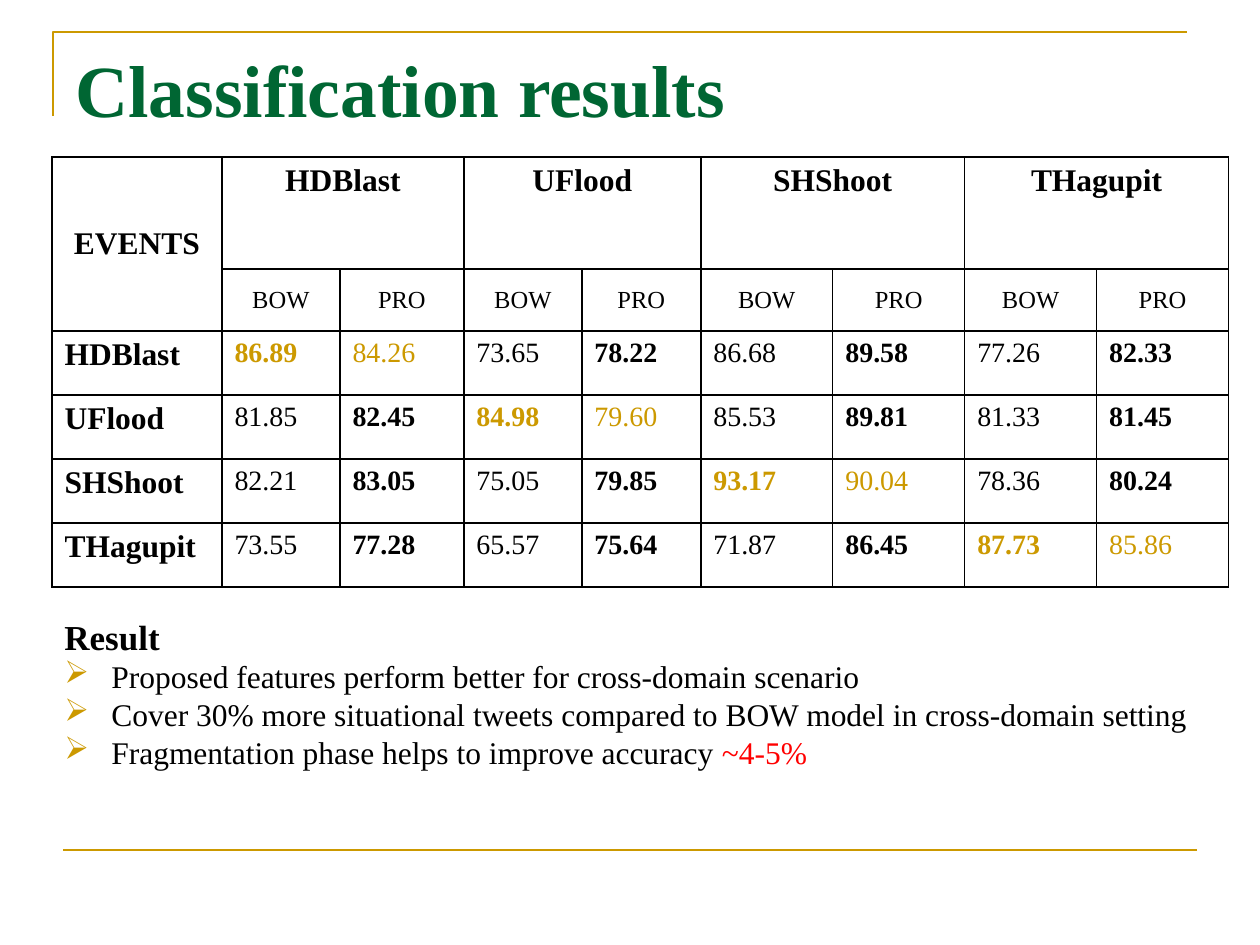
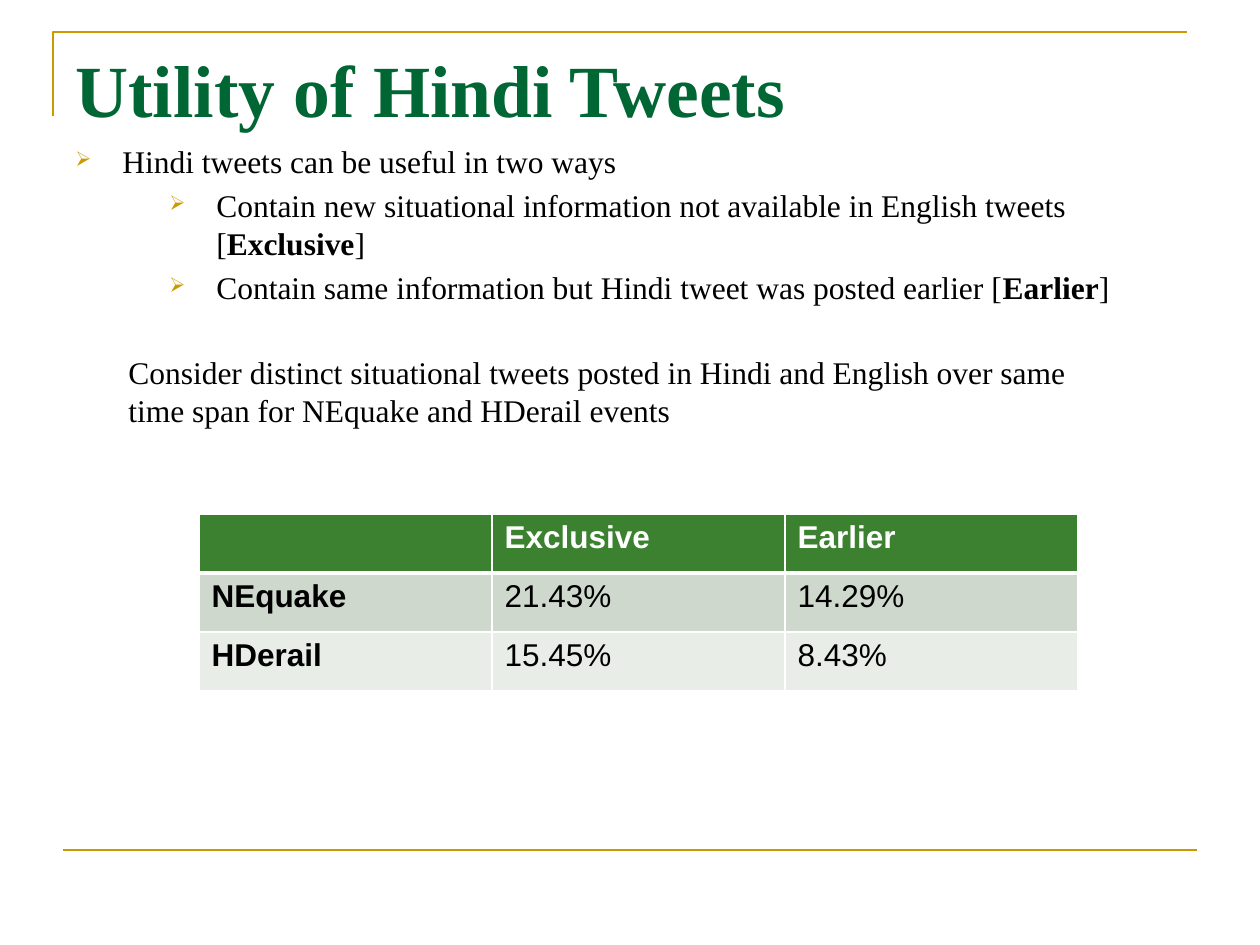
"""Builds two slides on tweet classification results and the utility of Hindi tweets."""
from dataclasses import dataclass

from lxml.etree import SubElement
from pptx import Presentation
from pptx.dml.color import RGBColor
from pptx.enum.shapes import MSO_CONNECTOR
from pptx.enum.text import MSO_ANCHOR, PP_ALIGN
from pptx.oxml.ns import qn
from pptx.util import Emu, Pt


@dataclass(frozen=True)
class Theme:
    gold: str = "CC9900"
    green: str = "006633"
    black: str = "000000"
    white: str = "FFFFFF"
    red: str = "FF0000"
    header: str = "3B812F"
    bands: tuple = ("CED8CD", "E8EDE8")
    serif: str = "Times New Roman"
    sans: str = "Arial"
    title: int = 42
    heading: int = 20
    body: int = 18
    score: int = 16
    feature: int = 14
    rule: float = 1.5


THEME = Theme()
EMU_PER_PX = 914400 / 126


def px(length):
    return Emu(round(length * EMU_PER_PX))


def write(paragraph, text, size=THEME.body, color=THEME.black, **formats):
    run = paragraph.add_run()
    run.text = text
    run.font.color.rgb = RGBColor.from_string(color)
    for name, value in {"name": THEME.serif, "size": Pt(size), "bold": False, **formats}.items():
        setattr(run.font, name, value)


deck = Presentation()
deck.slide_width, deck.slide_height = px(1260), px(945)
results, utility = [deck.slides.add_slide(deck.slide_layouts[6]) for _ in range(2)]

for slide in (results, utility):
    outline = slide.shapes.build_freeform(px(53), px(116), scale=1.0)
    outline.add_line_segments([(px(53), px(32)), (px(1187), px(32))], close=False)
    corner = outline.convert_to_shape()
    corner.fill.background()
    corner.shadow.inherit = False
    footer_rule = slide.shapes.add_connector(MSO_CONNECTOR.STRAIGHT, px(63), px(850), px(1197), px(850))
    SubElement(footer_rule._element.spPr, qn("a:effectLst"))
    for stroke in (corner.line, footer_rule.line):
        stroke.color.rgb = RGBColor.from_string(THEME.gold)
        stroke.width = Pt(THEME.rule)

title_format = {"size": THEME.title, "color": THEME.green, "bold": True}
strong = {"bold": True}
texts = [
    (results, (63, 38, 1134, 98), 0, 100, [(0, [("Classification results", title_format)])]),
    (utility, (63, 38, 1134, 98), 0, 100, [(0, [("Utility of Hindi Tweets", title_format)])]),
    (results, (52, 609, 1177, 170), 0, 100, [
        (0, [("Result", {"size": THEME.heading, "bold": True})]),
        (47, [("Proposed features perform better for cross-domain scenario", {})]),
        (47, [("Cover 30% more situational tweets compared to BOW model in cross-domain setting", {})]),
        (47, [("Fragmentation phase helps to improve accuracy ", {}), ("~4-5%", {"color": THEME.red})]),
    ]),
    (utility, (63, 136, 1134, 220), 3.6, 65, [
        (47, [("Hindi tweets can be useful in two ways", {})]),
        (141, [("Contain new situational information not available in English tweets [", {}),
               ("Exclusive", strong), ("]", {})]),
        (141, [("Contain same information but Hindi tweet was posted earlier [", {}),
               ("Earlier", strong), ("]", {})]),
    ]),
    (utility, (116, 347, 1018, 89), 0, 100, [
        (0, [("Consider distinct situational tweets posted in Hindi and English over same "
              "time span for NEquake and HDerail events", {})]),
    ]),
]
for slide, place, gap, bullet_percent, paragraphs in texts:
    frame = slide.shapes.add_textbox(*map(px, place)).text_frame
    frame.word_wrap = True
    for index, (indent, runs) in enumerate(paragraphs):
        paragraph = frame.add_paragraph() if index else frame.paragraphs[0]
        if index and gap:
            paragraph.space_before = Pt(gap)
        if indent:
            paragraph.level = int(indent > 47)
            properties = paragraph._p.get_or_add_pPr()
            properties.set("marL", str(px(indent)))
            properties.set("indent", str(px(-47)))
            SubElement(SubElement(properties, qn("a:buClr")), qn("a:srgbClr"), val=THEME.gold)
            SubElement(properties, qn("a:buSzPct"), val=str(bullet_percent * 1000))
            SubElement(properties, qn("a:buChar"), char="➢")
        for text, formats in runs:
            write(paragraph, text, **formats)

scores = {
    "HDBlast": ["86.89", "84.26", "73.65", "78.22", "86.68", "89.58", "77.26", "82.33"],
    "UFlood": ["81.85", "82.45", "84.98", "79.60", "85.53", "89.81", "81.33", "81.45"],
    "SHShoot": ["82.21", "83.05", "75.05", "79.85", "93.17", "90.04", "78.36", "80.24"],
    "THagupit": ["73.55", "77.28", "65.57", "75.64", "71.87", "86.45", "87.73", "85.86"],
}
shares = [["", "Exclusive", "Earlier"], ["NEquake", "21.43%", "14.29%"], ["HDerail", "15.45%", "8.43%"]]
grids = []
for slide, left, top, widths, heights in (
    (results, 52, 157, [170, 118, 124, 118, 119, 132, 132, 132, 132], [112, 62] + [64] * 4),
    (utility, 199, 514, [293] * 3, [59] * 3),
):
    place = map(px, (left, top, sum(widths), sum(heights)))
    grid = slide.shapes.add_table(len(heights), len(widths), *place).table
    grid.horz_banding = False
    grid.first_row = slide is utility
    for column, width in zip(grid.columns, widths):
        column.width = px(width)
    for row, height in zip(grid.rows, heights):
        row.height = px(height)
    grids.append(grid)
score_grid, share_grid = grids

for grid, border in ((score_grid, THEME.black), (share_grid, THEME.white)):
    for row_index, row in enumerate(grid.rows):
        for cell in row.cells:
            properties = cell._tc.get_or_add_tcPr()
            for side in ("lnL", "lnR", "lnT", "lnB"):
                thick = grid is share_grid and (row_index, side) in ((0, "lnB"), (1, "lnT"))
                edge = SubElement(properties, qn(f"a:{side}"), w=str(Pt(3 if thick else 1)))
                SubElement(SubElement(edge, qn("a:solidFill")), qn("a:srgbClr"), val=border)
            if grid is score_grid:
                cell.fill.background()
            else:
                cell.fill.solid()
                cell.fill.fore_color.rgb = RGBColor.from_string((THEME.header, *THEME.bands)[row_index])

score_grid.cell(0, 0).merge(score_grid.cell(1, 0))
headers = [(0, 0, "EVENTS", THEME.body)]
for event_index, (event, values) in enumerate(scores.items()):
    first = 1 + 2 * event_index
    score_grid.cell(0, first).merge(score_grid.cell(0, first + 1))
    headers.append((0, first, event, THEME.body))
    headers += [(1, first + i, feature, THEME.feature) for i, feature in enumerate(("BOW", "PRO"))]
    write(score_grid.cell(event_index + 2, 0).text_frame.paragraphs[0], event, bold=True)
    for value_index, value in enumerate(values):
        pair = value_index // 2
        write(score_grid.cell(event_index + 2, value_index + 1).text_frame.paragraphs[0], value, THEME.score,
              THEME.gold if pair == event_index else THEME.black,
              bold=value == max(values[2 * pair:2 * pair + 2]))
for row_index, column_index, text, size in headers:
    cell = score_grid.cell(row_index, column_index)
    if row_index or not column_index:
        cell.vertical_anchor = MSO_ANCHOR.MIDDLE
    heading = cell.text_frame.paragraphs[0]
    heading.alignment = PP_ALIGN.CENTER
    write(heading, text, size, bold=size == THEME.body)

for row_index, labels in enumerate(shares):
    for column_index, label in enumerate(labels):
        if label:
            write(share_grid.cell(row_index, column_index).text_frame.paragraphs[0], label,
                  color=THEME.black if row_index else THEME.white,
                  name=THEME.sans, bold=not (row_index and column_index))

deck.save("out.pptx")
